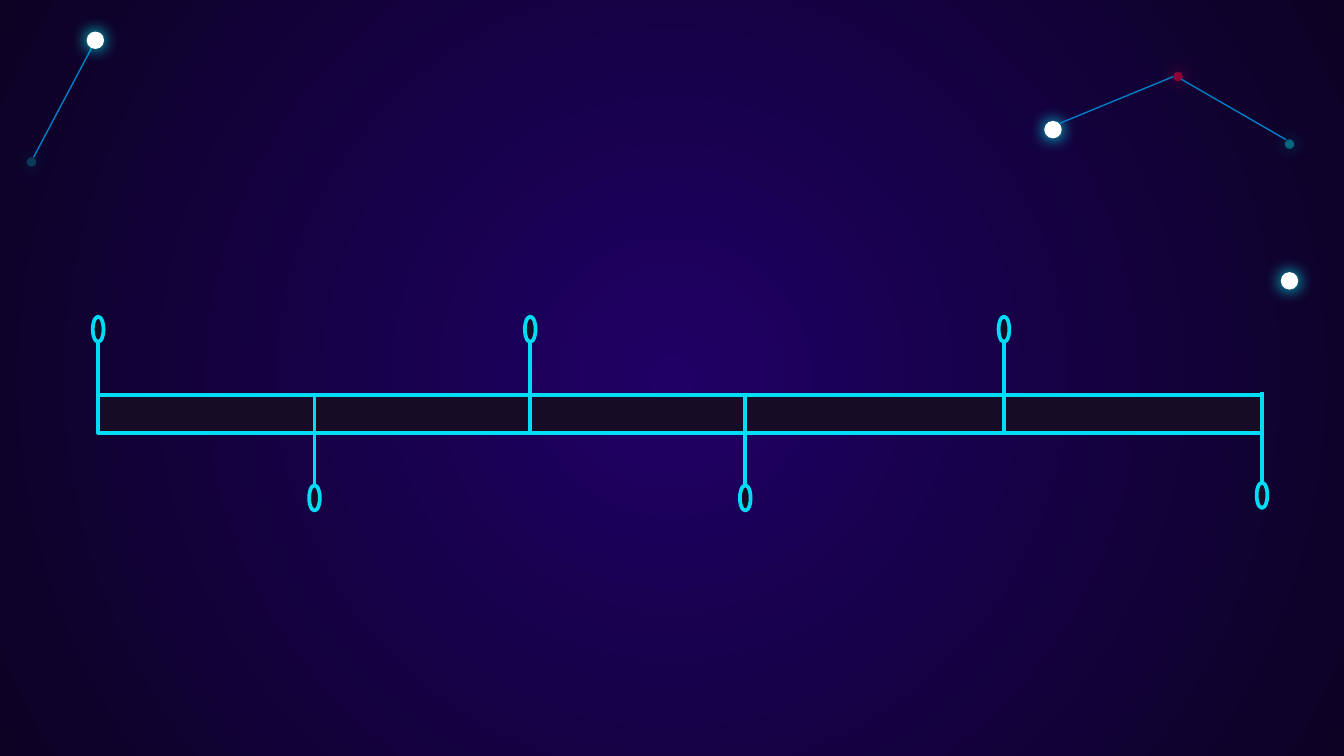
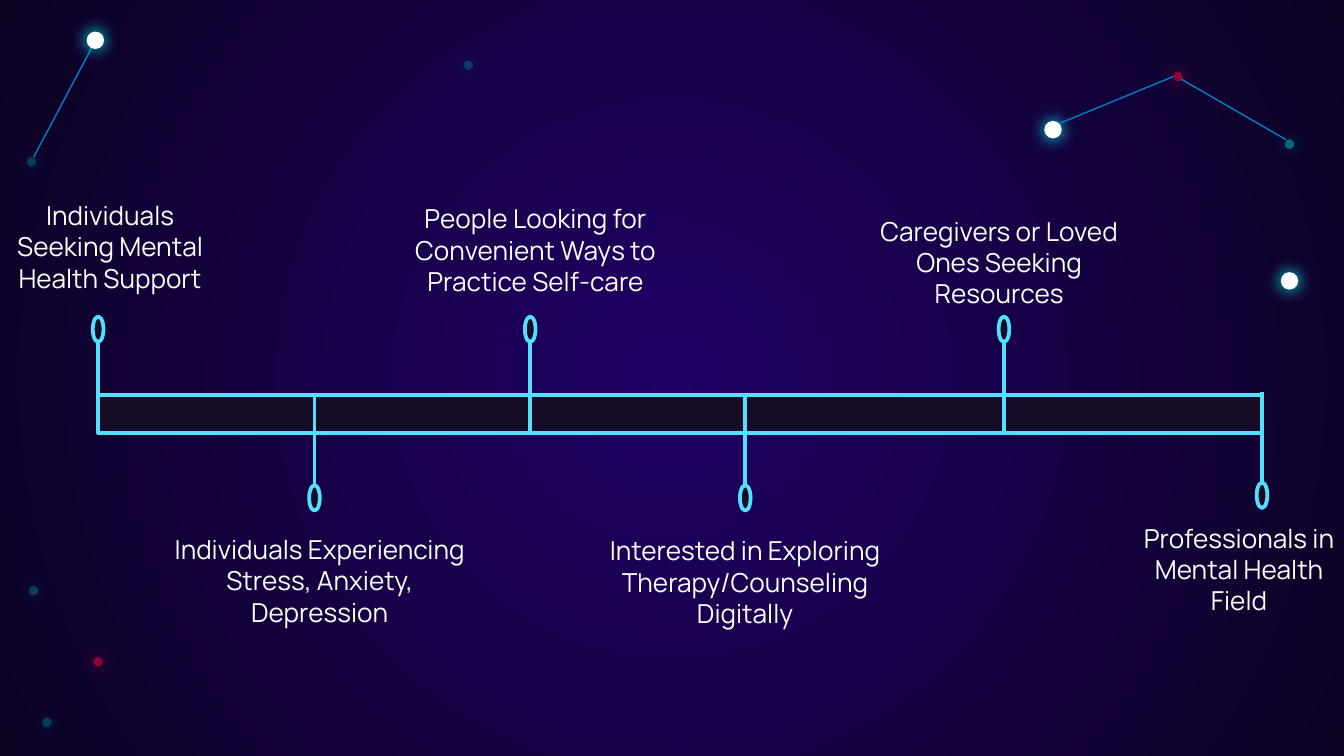
from lxml import etree
from pptx import Presentation
from pptx.dml.color import RGBColor
from pptx.enum.shapes import MSO_CONNECTOR, MSO_SHAPE
from pptx.enum.text import MSO_AUTO_SIZE, PP_ALIGN
from pptx.oxml import parse_xml
from pptx.oxml.ns import nsdecls, qn
from pptx.util import Pt

PX = 4572
STRAIGHT = MSO_CONNECTOR.STRAIGHT
RECT, OVAL = MSO_SHAPE.RECTANGLE, MSO_SHAPE.OVAL
CENTER = PP_ALIGN.CENTER
GROW = MSO_AUTO_SIZE.SHAPE_TO_FIT_TEXT

WHITE, CYAN, RED, BLUE = "FFFFFF", "00FFFD", "FF003A", "007FCA"
BG_INNER, BG_OUTER, DARK = "1F0065", "0C0223", "170C25"
RED_GLOW = "FF2758"
FONT = "Manrope"

BAR_TOP, BAR_HEIGHT = 588, 56
BAR_EDGES = [146, 468, 788, 1109, 1494, 1879]
UP_PINS = [789, 1494, 146]
DOWN_PINS = [(468, 588), (1109, 588), (1878, 584)]
STEM, HEAD_W, HEAD_H = 149, 16, 38

AUDIENCES = [
    (-20, 287, 368, "Individuals Seeking Mental Health Support"),
    (233, 784, 486, "Individuals Experiencing Stress, Anxiety, Depression"),
    (583, 292, 428, "People Looking for Convenient Ways to Practice Self-care"),
    (883, 786, 452, "Interested in Exploring Therapy/Counseling Digitally"),
    (1261, 310, 452, "Caregivers or Loved Ones Seeking Resources"),
    (1660, 767, 368, "Professionals in Mental Health Field"),
]


def rgb(color):
    return RGBColor.from_string(color)


class Deck:
    def __init__(self):
        self.prs = Presentation()
        self.prs.slide_width, self.prs.slide_height = 2000 * PX, 1125 * PX
        self.s = None

    def slide(self):
        self.s = self.prs.slides.add_slide(self.prs.slide_layouts[6])
        bg = parse_xml(
            f'<p:bg {nsdecls("p", "a")}><p:bgPr><a:gradFill rotWithShape="1"><a:gsLst>'
            f'<a:gs pos="0"><a:srgbClr val="{BG_INNER}"/></a:gs>'
            f'<a:gs pos="100000"><a:srgbClr val="{BG_OUTER}"/></a:gs></a:gsLst>'
            '<a:path path="circle"><a:fillToRect l="50000" t="50000" r="50000" b="50000"/></a:path>'
            '</a:gradFill><a:effectLst/></p:bgPr></p:bg>')
        self.s.element.find(qn("p:cSld")).insert(0, bg)

    def shape(self, kind, x, y, w, h, fill, line=None):
        sp = self.s.shapes.add_shape(kind, x * PX, y * PX, w * PX, h * PX)
        sp.shadow.inherit = False
        sp.fill.solid()
        sp.fill.fore_color.rgb = rgb(fill)
        if line:
            sp.line.color.rgb = rgb(line)
            sp.line.width = Pt(2)
        else:
            sp.line.fill.background()
        return sp

    def star(self, x, y, size=14, fill=CYAN, alpha=20, glow=CYAN):
        sp = self.shape(OVAL, x, y, size, size, fill)
        color = next(sp.element.iter(qn("a:srgbClr")))
        if alpha < 100:
            etree.SubElement(color, qn("a:alpha"), val=str(alpha * 1000))
        effects = next(sp.element.iter(qn("a:effectLst")))
        shadow = etree.SubElement(effects, qn("a:outerShdw"), blurRad=str(Pt(9)),
                                  dist="0", dir="0", algn="ctr", rotWithShape="0")
        etree.SubElement(shadow, qn("a:srgbClr"), val=glow)

    def bright_star(self, x, y):
        self.star(x, y, 26, WHITE, 100)

    def red_star(self, x, y):
        self.star(x, y, 14, RED, 48, RED_GLOW)

    def line(self, x1, y1, x2, y2, color=BLUE, width=0.75):
        c = self.s.shapes.add_connector(STRAIGHT, x1 * PX, y1 * PX, x2 * PX, y2 * PX)
        c.line.color.rgb = rgb(color)
        c.line.width = Pt(width)
        etree.SubElement(c.element.spPr, qn("a:effectLst"))

    def pin(self, x, start, end, head_top, color):
        self.line(x, start, x, end, color, 2)
        self.shape(OVAL, x - HEAD_W // 2, head_top, HEAD_W, HEAD_H, DARK, color)

    def timeline(self, color):
        for left, right in zip(BAR_EDGES, BAR_EDGES[1:]):
            self.shape(RECT, left, BAR_TOP, right - left, BAR_HEIGHT, DARK, color)
        for x in UP_PINS:
            self.pin(x, 494, 494 + STEM, 471, color)
        for x, top in DOWN_PINS:
            self.pin(x, top + STEM, top, top + 134, color)

    def label(self, x, y, w, text):
        tf = self.s.shapes.add_textbox(x * PX, y * PX, w * PX, 162 * PX).text_frame
        tf.word_wrap = True
        tf.auto_size = GROW
        p = tf.paragraphs[0]
        p.text = text
        p.alignment = CENTER
        p.font.name = FONT
        p.font.size = Pt(14)
        p.font.color.rgb = rgb(WHITE)

    def sky(self):
        self.bright_star(1906, 405)
        self.star(1912, 208)
        self.line(50, 234, 136, 72)
        self.star(40, 234)
        self.bright_star(129, 47)

    def constellation(self):
        self.bright_star(1554, 180)
        self.star(1912, 207)
        self.red_star(1746, 107)
        self.line(1746, 114, 1576, 184)
        self.line(1758, 118, 1914, 208)


def main():
    deck = Deck()
    for color, labels in (("00DBF6", []), ("51E0FF", AUDIENCES)):
        deck.slide()
        deck.sky()
        deck.timeline(color)
        for label in labels:
            deck.label(*label)
        deck.constellation()
    for x, y in ((690, 90), (63, 1068), (43, 872)):
        deck.star(x, y)
    deck.red_star(139, 978)
    deck.prs.save("out.pptx")


if __name__ == "__main__":
    main()
